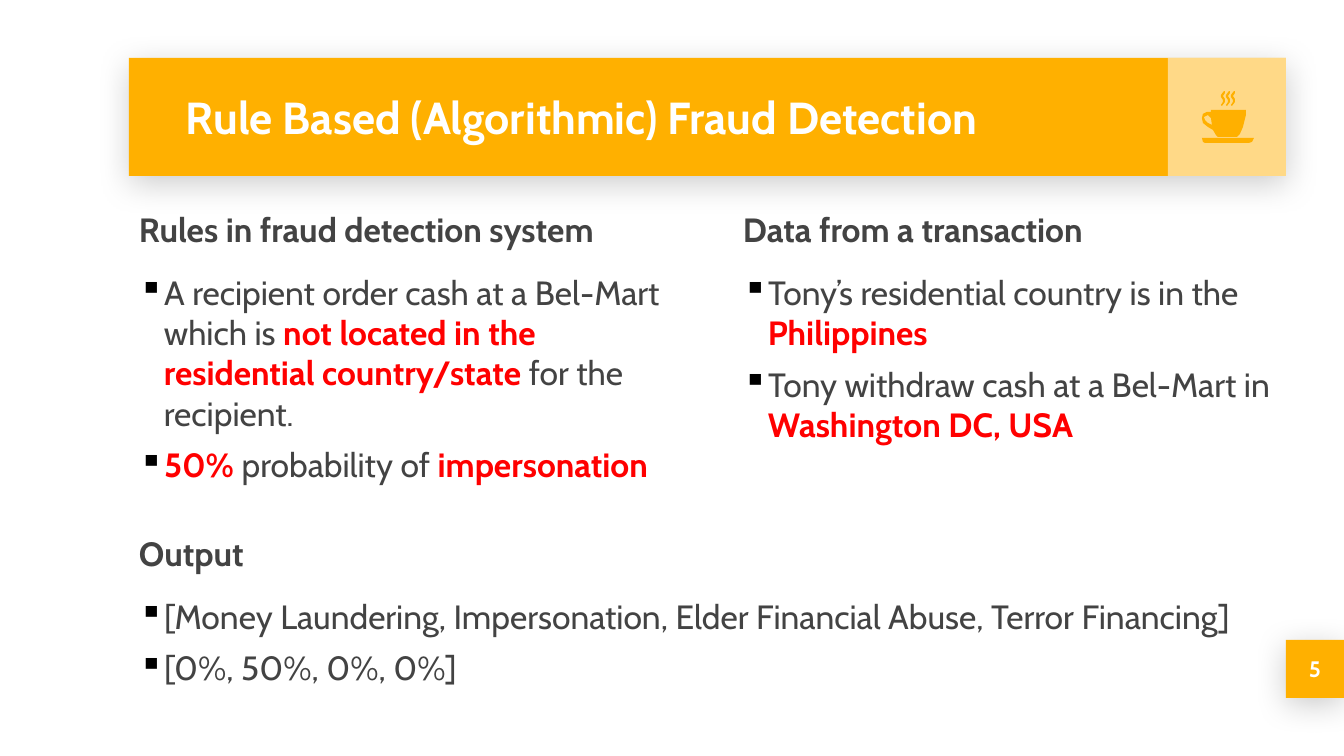
from lxml.etree import SubElement
from pptx import Presentation
from pptx.dml.color import RGBColor
from pptx.enum.shapes import MSO_SHAPE
from pptx.enum.text import MSO_ANCHOR, PP_ALIGN
from pptx.oxml.ns import qn
from pptx.util import Pt

SCALE = 914400 / 134.4
WHITE = RGBColor(0xFF, 0xFF, 0xFF)
AMBER = RGBColor(0xFF, 0xB0, 0x00)
GRAY = RGBColor(0x43, 0x43, 0x43)
RED = RGBColor(0xFF, 0x00, 0x00)
FONT = "Cabin"

HEAD = (129, 58, 1157, 118)
ICON = (1168, 58, 118, 118)
TITLE = (173, 58, 991, 118)
PAGE = (1286, 640, 58, 58)

CUP = [(1211, 110), (1211, 112), (1207, 112), (1203, 114), (1202, 118),
       (1203, 123), (1208, 127), (1213, 130), (1216, 135), (1218, 137),
       (1237, 137), (1240, 134), (1243, 127), (1246, 115), (1246, 110)]
HOLE = [(1208, 115), (1211, 118), (1212, 125), (1208, 123), (1205, 120),
        (1204, 117)]
SAUCER = [(1202, 138), (1254, 138), (1252, 142), (1249, 143), (1205, 143),
          (1203, 142)]
STEAM = [(3, 0), (0, 4), (0, 6), (2, 9), (2, 11), (0, 14), (1, 15),
         (4, 11), (4, 8), (2, 5), (4, 2), (4, 0)]

# Asterisks enclose the words to stress.
BLOCKS = [
    ((126, 196, 567, 323), "Rules in fraud detection system", [
        "A recipient order cash at a Bel-Mart which is "
        "*not located in the residential country/state *for the recipient.",
        "*50%* probability of *impersonation*"]),
    ((730, 196, 556, 323), "Data from a transaction", [
        "Tony’s residential country is in the *Philippines*",
        "Tony withdraw cash at a Bel-Mart in *Washington DC, USA*"]),
    ((126, 520, 1137, 190), "Output", [
        "[Money Laundering, Impersonation, Elder Financial Abuse, "
        "Terror Financing]",
        "[0%, 50%, 0%, 0%]"]),
]


def px(num):
    return round(num * SCALE)


def paint(shape, color):
    shape.shadow.inherit = False
    shape.fill.solid()
    shape.fill.fore_color.rgb = color
    shape.line.fill.background()


def add_rect(slide, area, color):
    rect = slide.shapes.add_shape(MSO_SHAPE.RECTANGLE, *map(px, area))
    paint(rect, color)
    return rect


def cast(shape):
    """Give the shape a soft shadow below it."""
    effects = shape.element.spPr.find(qn("a:effectLst"))
    outer = SubElement(effects, qn("a:outerShdw"), blurRad=str(px(32)),
                       dist=str(px(7)), dir="5400000", algn="t",
                       rotWithShape="0")
    black = SubElement(outer, qn("a:srgbClr"), val="000000")
    SubElement(black, qn("a:alpha"), val="20000")


def fade(shape, percent):
    color = shape.element.spPr.find(qn("a:solidFill"))[0]
    SubElement(color, qn("a:alpha"), val=str(percent * 1000))


def add_free(group, *rings):
    """Draw one filled outline; rings after the first are holes."""
    pen = group.shapes.build_freeform(*rings[0][0], scale=SCALE)
    pen.add_line_segments(rings[0][1:], close=True)
    for ring in rings[1:]:
        pen.move_to(*ring[0])
        pen.add_line_segments(ring[1:], close=True)
    paint(pen.convert_to_shape(), AMBER)


def add_icon(slide):
    group = slide.shapes.add_group_shape()
    add_free(group, CUP, HOLE)
    add_free(group, SAUCER)
    for left in (1221, 1226, 1231):
        add_free(group, [(left + x, 91 + y) for x, y in STEAM])


def style(run, size, color, bold):
    font = run.font
    font.name, font.size, font.bold = FONT, Pt(size), bold
    font.color.rgb = color


def add_frame(slide, area, anchor):
    frame = slide.shapes.add_textbox(*map(px, area)).text_frame
    frame.word_wrap = True
    frame.vertical_anchor = anchor
    frame.margin_left = frame.margin_right = px(13)
    frame.margin_top = frame.margin_bottom = px(13)
    return frame


def add_label(slide, area, text, size, align):
    frame = add_frame(slide, area, MSO_ANCHOR.MIDDLE)
    frame.text = text
    para = frame.paragraphs[0]
    para.alignment = align
    style(para.runs[0], size, WHITE, True)


def add_bullet(frame, text):
    para = frame.add_paragraph()
    props = para._p.get_or_add_pPr()
    props.set("marL", str(px(25)))
    props.set("indent", str(px(-25)))
    color = SubElement(props, qn("a:buClr"))
    SubElement(color, qn("a:srgbClr"), val="000000")
    SubElement(props, qn("a:buChar"), char="▪")
    para.space_before = Pt(6)
    for pos, part in enumerate(text.split("*")):
        if part:
            run = para.add_run()
            run.text = part
            stress = pos % 2 == 1
            style(run, 18, RED if stress else GRAY, stress)


def add_block(slide, area, head, items):
    frame = add_frame(slide, area, MSO_ANCHOR.TOP)
    frame.text = head
    para = frame.paragraphs[0]
    para.space_after = Pt(6)
    style(para.runs[0], 18, GRAY, True)
    for item in items:
        add_bullet(frame, item)


def main():
    deck = Presentation()
    deck.slide_width, deck.slide_height = px(1344), px(756)
    slide = deck.slides.add_slide(deck.slide_layouts[6])
    for area in (PAGE, HEAD):
        cast(add_rect(slide, area, AMBER))
    fade(add_rect(slide, ICON, WHITE), 53)
    add_label(slide, TITLE, "Rule Based (Algorithmic) Fraud Detection", 24,
              PP_ALIGN.LEFT)
    add_icon(slide)
    add_label(slide, PAGE, "5", 12, PP_ALIGN.CENTER)
    for block in BLOCKS:
        add_block(slide, *block)
    deck.save("out.pptx")


if __name__ == "__main__":
    main()
